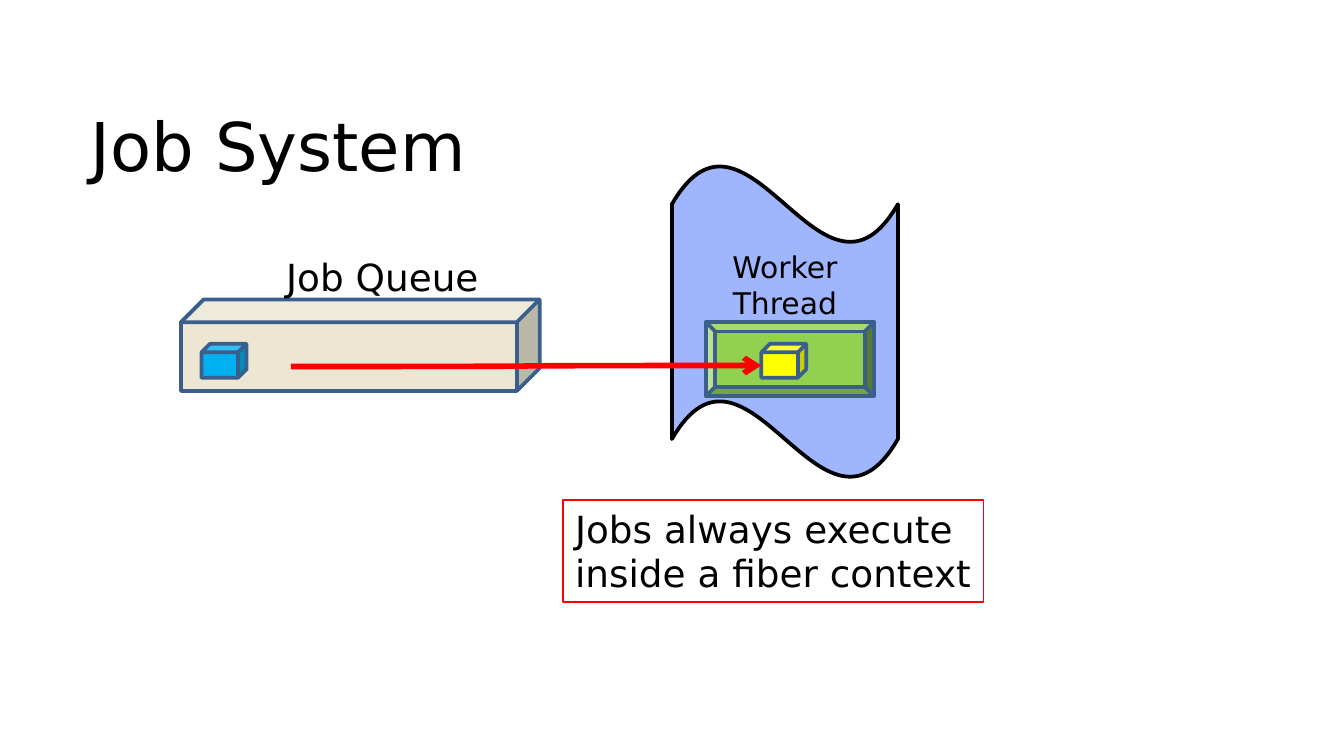
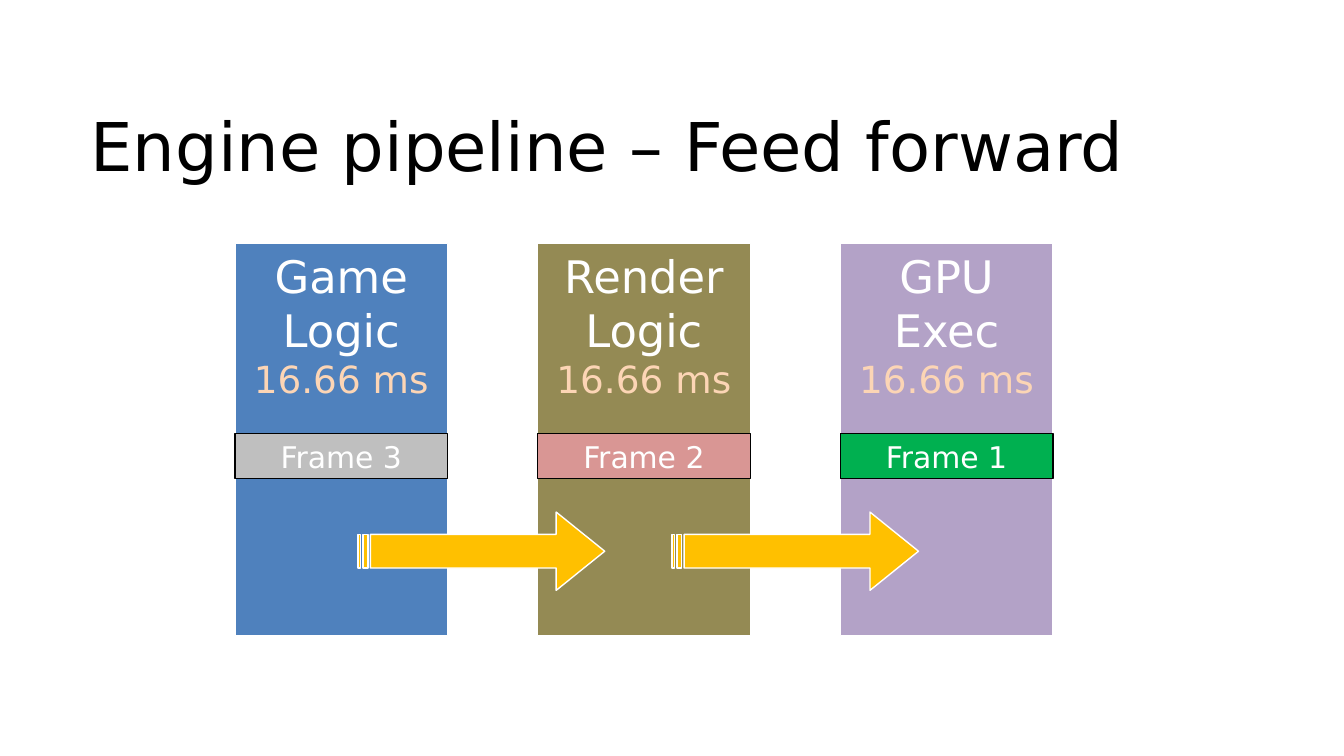
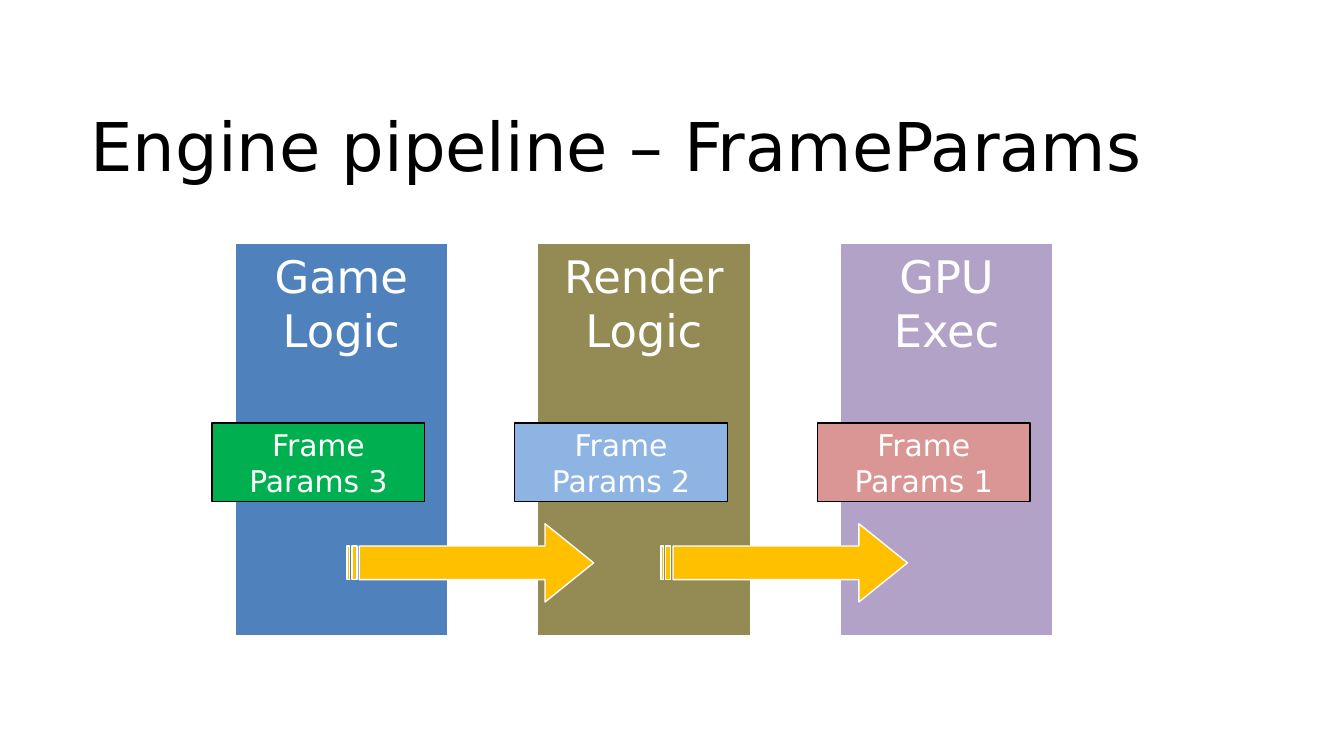
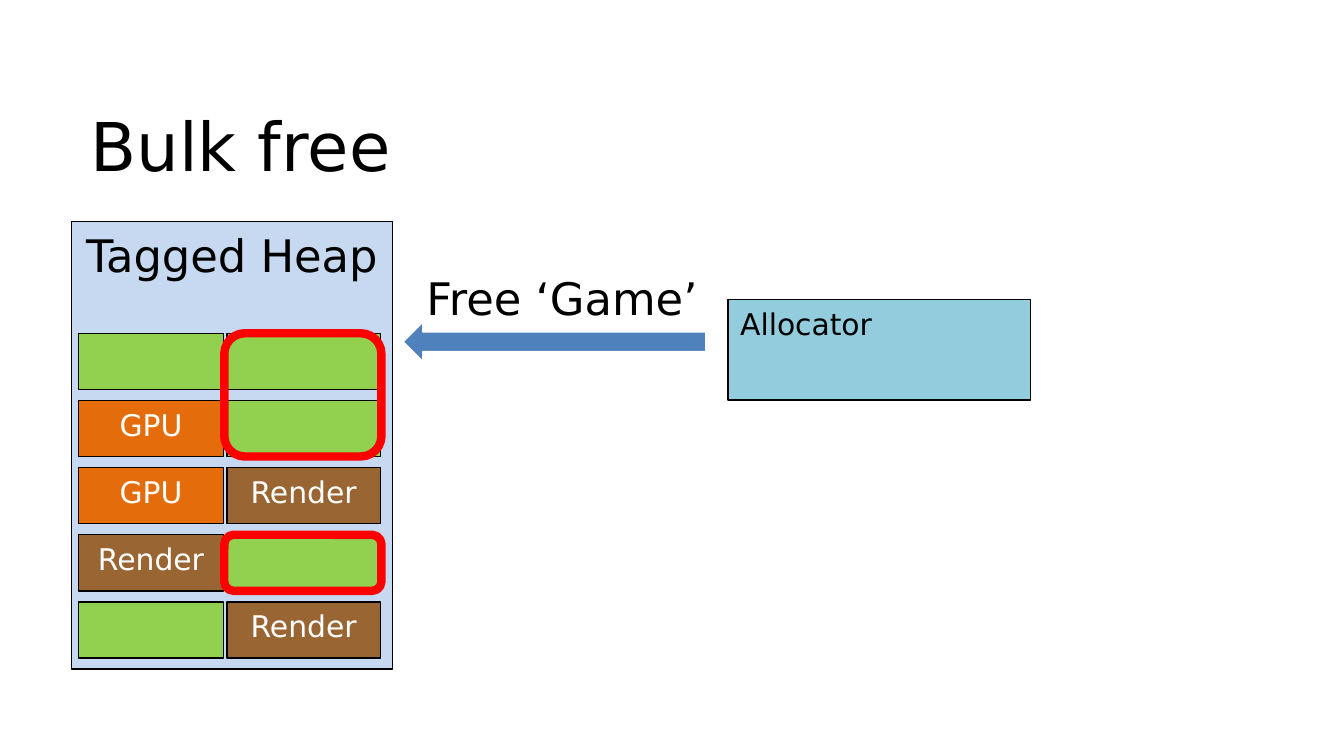
import dataclasses
import itertools
import typing

import pptx
import pptx.dml.color
import pptx.enum.shapes
import pptx.enum.text
import pptx.oxml.ns
import pptx.util
from lxml import etree

Cm = pptx.util.Cm
Pt = pptx.util.Pt
MSO = pptx.enum.shapes.MSO_SHAPE
ALIGN = pptx.enum.text.PP_ALIGN
ANCHOR = pptx.enum.text.MSO_ANCHOR
AUTO = pptx.enum.text.MSO_AUTO_SIZE

# Shared look
FONT = "DejaVu Sans"
COLORS = {
    "black": "000000", "white": "FFFFFF", "red": "FF0000",
    "wave": "9FB6FF", "lime": "92D050", "yellow": "FFFF00",
    "edge": "3A5F8C", "beige": "ECE6D2", "cyan": "00B0F0",
    "blue": "4F81BD", "olive": "948A54", "purple": "B3A2C7",
    "peach": "FCD5B5", "gray": "BFBFBF", "rose": "D99694",
    "green": "00B050", "sky": "8EB4E3", "gold": "FFC000",
    "teal": "93CDDD", "heap": "C6D9F1", "brown": "996633",
    "orange": "E46C0A",
}


@dataclasses.dataclass
class Box:
    """A shape with optional text; lengths in cm. No geometry means a text box."""
    left: float
    top: float
    width: float
    height: float
    fill: typing.Optional[str] = None
    line: typing.Optional[str] = "black"
    weight: float = 0.75
    geometry: typing.Optional[MSO] = MSO.RECTANGLE
    text: str = ""
    size: float = 16
    color: str = "white"
    align: ALIGN = ALIGN.CENTER
    anchor: ANCHOR = ANCHOR.TOP
    grow: bool = False
    wrap: bool = True
    adjustments: tuple = ()


class Stage(typing.NamedTuple):
    name: str
    fill: str


class Frame(typing.NamedTuple):
    text: str
    fill: str


def rgb(name: str) -> pptx.dml.color.RGBColor:
    return pptx.dml.color.RGBColor.from_string(COLORS[name])


def add_text(tf, text: str, *, size: float = 16, color: str = "white",
             align: ALIGN = ALIGN.CENTER) -> None:
    """Append a formatted paragraph, using the empty first one if there is one."""
    p = tf.add_paragraph() if tf.text else tf.paragraphs[0]
    p.alignment = align
    r = p.add_run()
    r.text = text
    r.font.name = FONT
    r.font.size = Pt(size)
    r.font.color.rgb = rgb(color)


def set_frame(tf, anchor: ANCHOR, wrap: bool = True, grow: bool = False) -> None:
    tf.margin_left = tf.margin_right = Cm(0.23)
    tf.margin_top = tf.margin_bottom = Cm(0.11)
    tf.vertical_anchor = anchor
    tf.word_wrap = wrap
    tf.auto_size = AUTO.SHAPE_TO_FIT_TEXT if grow else AUTO.NONE


def draw(s, box: Box):
    place = [Cm(v) for v in (box.left, box.top, box.width, box.height)]
    if box.geometry is None:
        sp = s.shapes.add_textbox(*place)
    else:
        sp = s.shapes.add_shape(box.geometry, *place)
        sp.shadow.inherit = False
        if box.fill:
            sp.fill.solid()
            sp.fill.fore_color.rgb = rgb(box.fill)
        else:
            sp.fill.background()
        sp.line.color.rgb = rgb(box.line)
        sp.line.width = Pt(box.weight)
        for i, value in enumerate(box.adjustments):
            sp.adjustments[i] = value
    if box.text:
        set_frame(sp.text_frame, box.anchor, box.wrap, box.grow)
        add_text(sp.text_frame, box.text, size=box.size, color=box.color,
                 align=box.align)
    return sp


def draw_arrow_curve(s, start: tuple, end: tuple, color: str, weight: float) -> None:
    cn = s.shapes.add_connector(pptx.enum.shapes.MSO_CONNECTOR.CURVE,
                                *[Cm(v) for v in start + end])
    cn.line.color.rgb = rgb(color)
    cn.line.width = Pt(weight)
    qn = pptx.oxml.ns.qn
    etree.SubElement(cn.line._get_or_add_ln(), qn("a:tailEnd"), type="arrow")
    etree.SubElement(cn._element.spPr, qn("a:effectLst"))


def new_slide(prs, title: str):
    s = prs.slides.add_slide(prs.slide_layouts[5])
    sp = s.shapes.title
    sp.left, sp.top, sp.width, sp.height = Cm(1.48), Cm(1.86), Cm(22.43), Cm(2.15)
    set_frame(sp.text_frame, ANCHOR.TOP)
    add_text(sp.text_frame, title, size=36, color="black", align=ALIGN.LEFT)
    return s


# Slide 1: job system
def job_system(prs) -> None:
    s = new_slide(prs, "Job System")

    def solid(left, top, width, height, fill, geometry=MSO.CUBE) -> Box:
        return Box(left, top, width, height, fill, "edge", 2, geometry)

    boxes = [
        Box(12.7, 3.12, 4.27, 5.92, "wave", weight=2, geometry=MSO.WAVE,
            text="Worker Thread", color="black"),
        solid(13.34, 6.09, 3.18, 1.4, "lime", MSO.BEVEL),
        solid(14.39, 6.5, 0.85, 0.64, "yellow"),
        Box(10.64, 9.45, 7.95, 1.93, line="red", size=20, color="black",
            text="Jobs always execute inside a fiber context",
            align=ALIGN.LEFT, grow=True),
        solid(3.42, 5.66, 6.78, 1.73, "beige"),
        solid(3.81, 6.5, 0.85, 0.64, "cyan"),
        Box(5.18, 4.7, 4.22, 1.1, geometry=None, text="Job Queue", size=20,
            color="black", align=ALIGN.LEFT, grow=True, wrap=False),
    ]
    for box in boxes:
        draw(s, box)
    draw_arrow_curve(s, (5.5, 6.93), (14.39, 6.91), "red", 3)


# Slides 2 and 3: engine pipeline
STAGES = [Stage("Game Logic", "blue"), Stage("Render Logic", "olive"),
          Stage("GPU Exec", "purple")]
STAGE_LEFT, STAGE_PITCH, STAGE_WIDTH = 4.44, 5.72, 4.02
ARROW_PITCH = 5.93


def pipeline(prs, title: str, frames: typing.List[Frame], frame_shift: float,
             frame_top: float, frame_height: float, arrow_left: float,
             arrow_top: float, timing: str = "") -> None:
    s = new_slide(prs, title)
    lefts = [STAGE_LEFT + i * STAGE_PITCH for i in range(len(STAGES))]
    for left, stage in zip(lefts, STAGES):
        sp = draw(s, Box(left, 4.6, STAGE_WIDTH, 7.41, stage.fill, "white",
                         text=stage.name, size=24))
        if timing:
            add_text(sp.text_frame, timing, size=20, color="peach")
    for left, frame in zip(lefts, frames):
        draw(s, Box(left + frame_shift, frame_top, STAGE_WIDTH, frame_height,
                    frame.fill, text=frame.text, anchor=ANCHOR.MIDDLE))
    for i in range(len(STAGES) - 1):
        draw(s, Box(arrow_left + i * ARROW_PITCH, arrow_top, 4.66, 1.48, "gold",
                    "white", geometry=MSO.STRIPED_RIGHT_ARROW,
                    adjustments=(0.43, 0.62)))


# Slide 4: tagged heap
HEAP_FILLS = {"": "lime", "GPU": "orange", "Render": "brown"}
HEAP_ROWS = [("", ""), ("GPU", ""), ("GPU", "Render"), ("Render", ""), ("", "Render")]
HEAP_COLUMNS = [(1.48, 2.75), (4.29, 2.9)]
ROW_TOP, ROW_PITCH, ROW_HEIGHT = 6.3, 1.27, 1.06


def bulk_free(prs) -> None:
    s = new_slide(prs, "Bulk free")
    boxes = [
        Box(13.76, 5.66, 5.72, 1.9, "teal", text="Allocator", color="black",
            align=ALIGN.LEFT),
        Box(7.62, 6.09, 5.72, 0.74, "blue", "white", geometry=MSO.LEFT_ARROW),
        Box(7.83, 5, 5.66, 1.28, geometry=None, text="Free ‘Game’", size=24,
            color="black", align=ALIGN.LEFT, grow=True, wrap=False),
        Box(1.35, 4.19, 6.07, 8.46, "heap", text="Tagged Heap", size=24,
            color="black"),
    ]
    # Heap blocks
    for (i, row), j in itertools.product(enumerate(HEAP_ROWS), range(2)):
        left, width = HEAP_COLUMNS[j]
        boxes.append(Box(left, ROW_TOP + i * ROW_PITCH, width, ROW_HEIGHT,
                         HEAP_FILLS[row[j]], text=row[j]))
    # Freed blocks: first row and number of rows
    for first, count in [(0, 2), (3, 1)]:
        boxes.append(Box(4.24, ROW_TOP + first * ROW_PITCH, 2.97,
                         ROW_HEIGHT + (count - 1) * ROW_PITCH, line="red",
                         weight=4.5, geometry=MSO.ROUNDED_RECTANGLE))
    for box in boxes:
        draw(s, box)


def main() -> None:
    prs = pptx.Presentation()
    prs.slide_width, prs.slide_height = Cm(25.4), Cm(14.29)
    job_system(prs)
    pipeline(prs, "Engine pipeline – Feed forward",
             [Frame("Frame 3", "gray"), Frame("Frame 2", "rose"),
              Frame("Frame 1", "green")],
             frame_shift=0, frame_top=8.2, frame_height=0.85,
             arrow_left=6.77, arrow_top=9.68, timing="16.66 ms")
    pipeline(prs, "Engine pipeline – FrameParams",
             [Frame("Frame Params 3", "green"), Frame("Frame Params 2", "sky"),
              Frame("Frame Params 1", "rose")],
             frame_shift=-0.43, frame_top=8, frame_height=1.48,
             arrow_left=6.56, arrow_top=9.9)
    bulk_free(prs)
    prs.save("out.pptx")


if __name__ == "__main__":
    main()
